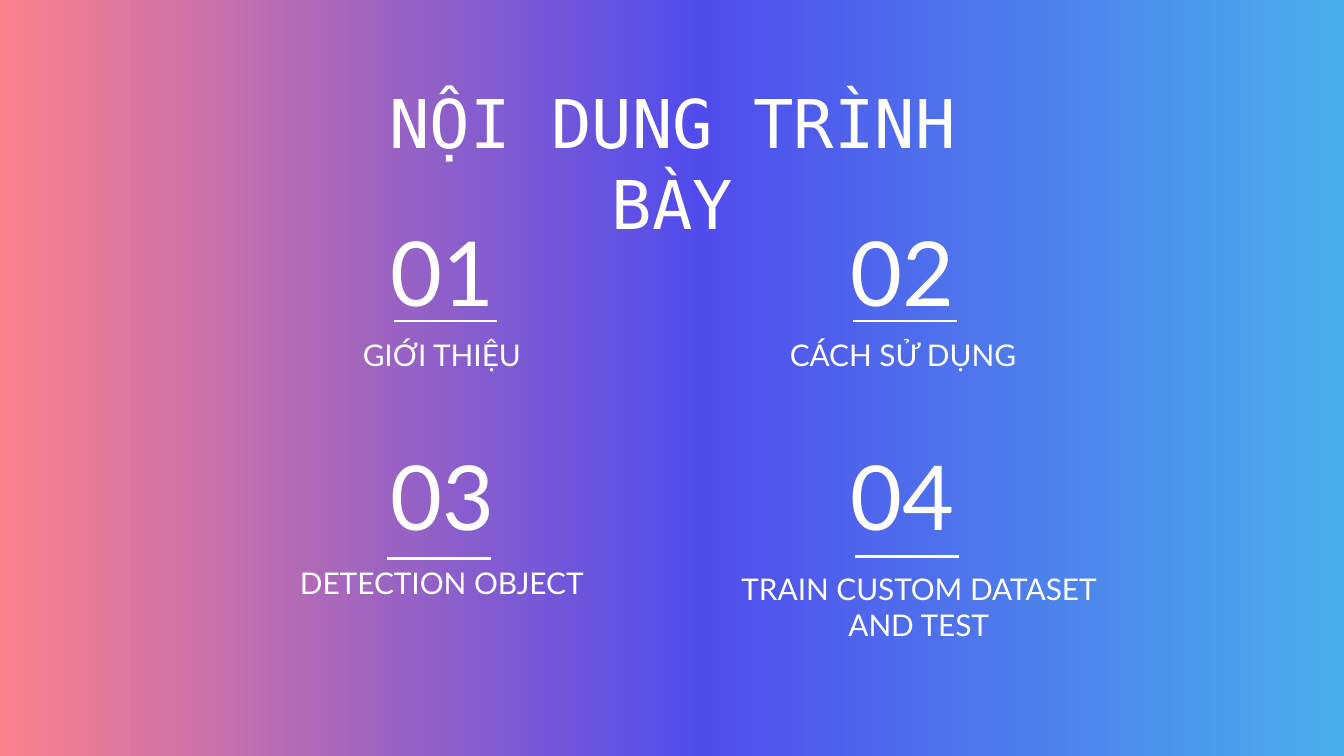
from copy import deepcopy

from lxml.etree import SubElement
from pptx import Presentation
from pptx.dml.color import RGBColor
from pptx.enum.shapes import MSO_CONNECTOR
from pptx.enum.text import MSO_ANCHOR, MSO_AUTO_SIZE, PP_ALIGN
from pptx.oxml.ns import qn
from pptx.util import Pt

WHITE = "FFFFFF"
GRADIENT = [(0, "FB818D"), (0.52, "504CEC"), (1, "4BAEEC")]
TITLE = "NỘI DUNG TRÌNH BÀY"
TITLE_BOX = (175, 36.5, 370.5, 74)

NUMBER_SIZE = (138.5, 45.5)
LABEL_WIDTH = 207.5
RULE_WIDTH = 55.5
COLUMNS = [168, 414]
ROWS = [122.5, 242]

# fmt: off
SECTIONS = [
    {"number": "01", "label": "GIỚI THIỆU", "cell": (0, 0),
     "label_at": (133, 161.5), "label_height": 45.5, "rule_at": (211, 172)},
    {"number": "02", "label": "CÁCH SỬ DỤNG", "cell": (1, 0),
     "label_at": (380, 161.5), "label_height": 45.5, "rule_at": (457, 172)},
    {"number": "03", "label": "DETECTION OBJECT", "cell": (0, 1),
     "label_at": (133, 299), "label_height": 30, "rule_at": (207.5, 299)},
    {"number": "04", "label": "TRAIN CUSTOM DATASET AND TEST", "cell": (1, 1),
     "label_at": (388.5, 306), "label_height": 45.5, "rule_at": (458, 298)},
]
# fmt: on

NUMBER_FORMAT = {"name": "Lato", "size": Pt(48), "bold": False}
LABEL_FORMAT = {"name": "Lato", "size": Pt(16), "bold": False}
TITLE_FORMAT = {"name": "DejaVu Sans Mono", "size": Pt(36), "bold": False}


def color(value):
    return RGBColor.from_string(value)


def paint_background(slide):
    fill = slide.background.fill
    fill.gradient()
    fill.gradient_angle = 0
    stop_list = slide.element.find(".//" + qn("a:gsLst"))
    stop_list.insert(1, deepcopy(stop_list[0]))
    for stop, (position, value) in zip(fill.gradient_stops, GRADIENT):
        stop.position = position
        stop.color.rgb = color(value)


def write_text(shape, text, box, anchor, font_format):
    shape.left, shape.top, shape.width, shape.height = map(Pt, box)
    frame = shape.text_frame
    frame.text = text
    frame_format = {
        "word_wrap": True,
        "auto_size": MSO_AUTO_SIZE.NONE,
        "vertical_anchor": anchor,
    }
    for side in ("left", "top", "right", "bottom"):
        frame_format["margin_" + side] = Pt(7.2)
    for name, value in frame_format.items():
        setattr(frame, name, value)
    paragraph = frame.paragraphs[0]
    paragraph.alignment = PP_ALIGN.CENTER
    font = paragraph.runs[0].font
    for name, value in font_format.items():
        setattr(font, name, value)
    font.color.rgb = color(WHITE)


def add_text(slide, text, box, anchor, font_format):
    shape = slide.shapes.add_textbox(*map(Pt, box))
    write_text(shape, text, box, anchor, font_format)


def add_rule(slide, left, top):
    ends = map(Pt, (left, top, left + RULE_WIDTH, top))
    rule = slide.shapes.add_connector(MSO_CONNECTOR.STRAIGHT, *ends)
    rule.line.color.rgb = color(WHITE)
    rule.line.width = Pt(1.5)
    SubElement(rule.element.spPr, qn("a:effectLst"))


def add_section(slide, section):
    column, row = section["cell"]
    number_box = (COLUMNS[column], ROWS[row], *NUMBER_SIZE)
    label_box = (*section["label_at"], LABEL_WIDTH, section["label_height"])
    add_text(slide, section["number"], number_box, MSO_ANCHOR.MIDDLE, NUMBER_FORMAT)
    add_text(slide, section["label"], label_box, MSO_ANCHOR.BOTTOM, LABEL_FORMAT)
    add_rule(slide, *section["rule_at"])


def main():
    presentation = Presentation()
    presentation.slide_width, presentation.slide_height = Pt(720), Pt(405)
    slide = presentation.slides.add_slide(presentation.slide_layouts[5])
    paint_background(slide)
    write_text(slide.shapes.title, TITLE, TITLE_BOX, MSO_ANCHOR.TOP, TITLE_FORMAT)
    for section in SECTIONS:
        add_section(slide, section)
    presentation.save("out.pptx")


if __name__ == "__main__":
    main()
